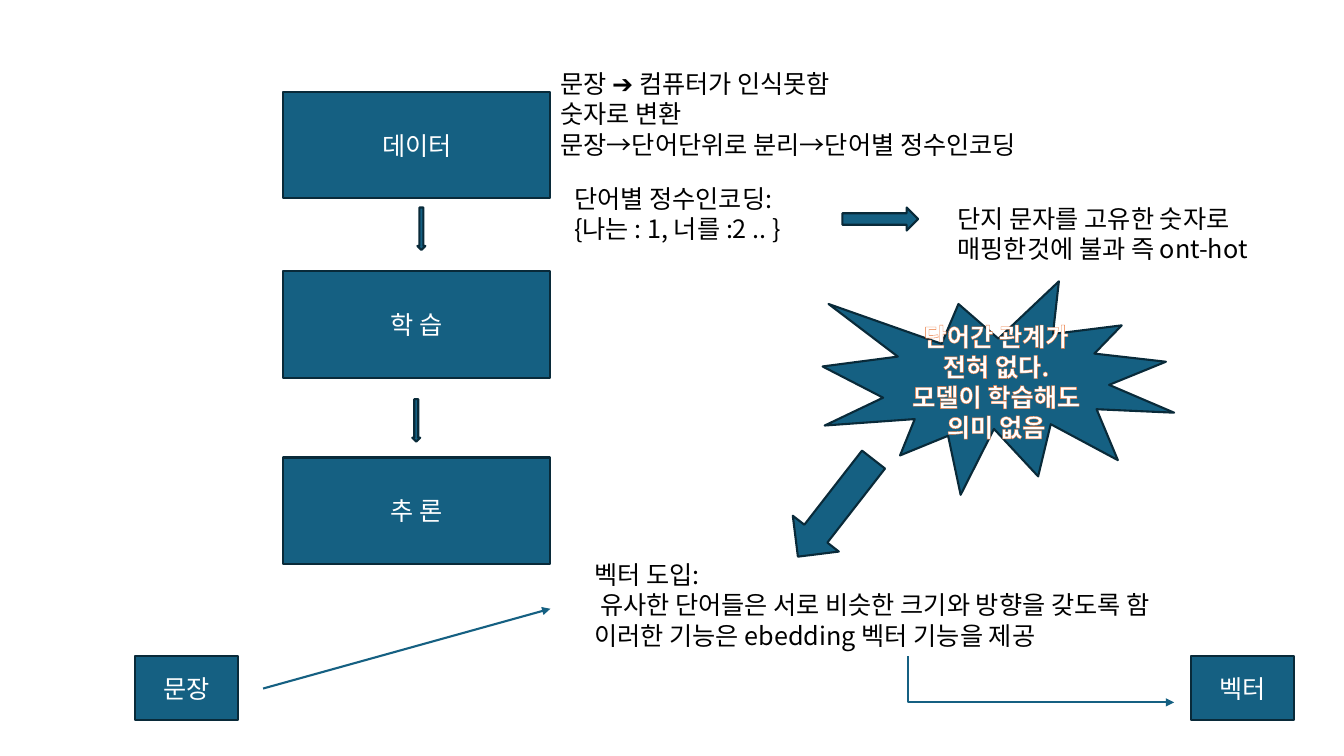
from lxml import etree
from pptx import Presentation
from pptx.dml.color import RGBColor
from pptx.enum import shapes, text
from pptx.oxml import ns
from pptx.util import Cm, Pt

TEAL = RGBColor(0x15, 0x60, 0x82)
NAVY = RGBColor(0x09, 0x2A, 0x39)
WHITE = RGBColor(255, 255, 255)
BLACK = RGBColor(0, 0, 0)
ORANGE = RGBColor(0xE9, 0x71, 0x32)
FONT = "Noto Sans CJK KR"
KIND = shapes.MSO_SHAPE

# Content: all lengths in centimetres
STAGES = [("데이터", 2.31), ("학 습", 6.83), ("추 론", 11.53)]
STAGE_LEFT, STAGE_SIZE = 7.14, (6.73, 2.69)
ENDPOINTS = [("문장", 3.4), ("벡터", 30.02)]
ENDPOINT_TOP, ENDPOINT_SIZE = 16.54, (2.59, 1.6)

# kind, left, top, width, height, rotation
BLOCK_ARROWS = [
    (KIND.DOWN_ARROW, 10.52, 5.23, 0.2, 1.07, 0),
    (KIND.DOWN_ARROW, 10.39, 10.06, 0.2, 1.07, 0),
    (KIND.RIGHT_ARROW, 21.23, 5.23, 1.91, 0.58, 0),
    (KIND.RIGHT_ARROW, 19.51, 12.07, 3.1, 1.47, 127.9),
]
# box, paragraphs
NOTES = [
    ((13.87, 1.6, 15.04, 2.57),
     ["문장 ➔ 컴퓨터가 인식못함", "숫자로 변환", "문장→단어단위로 분리→단어별 정수인코딩"]),
    ((14.22, 4.5, 6.5, 1.8), ["단어별 정수인코딩:", "{나는 : 1, 너를 :2 .. }"]),
    ((23.88, 5.0, 8.66, 1.8), ["단지 문자를 고유한 숫자로 매핑한것에 불과 즉 ont-hot"]),
    ((14.73, 13.97, 16.31, 2.57),
     ["벡터 도입:", " 유사한 단어들은 서로 비슷한 크기와 방향을 갖도록 함\n이러한 기능은 ebedding 벡터 기능을 제공"]),
]
BURST = ("단어간 관계가 전혀 없다. 모델이 학습해도 의미 없음", (20.73, 7.09, 8.86, 5.38))
SENTENCE_LINE = (6.63, 17.35, 13.87, 15.34)
VECTOR_LINE = (22.89, 16.54, 29.59, 17.7)


def write(frame, paragraphs, color, align=None, bold=None):
    frame.word_wrap = True
    for index, line in enumerate(paragraphs):
        paragraph = frame.paragraphs[0] if index == 0 else frame.add_paragraph()
        paragraph.alignment = align
        for part_index, part in enumerate(line.split("\n")):
            if part_index:
                paragraph.add_line_break()
            run = paragraph.add_run()
            run.text = part
            run.font.size, run.font.name, run.font.bold = Pt(18), FONT, bold
            run.font.color.rgb = color
            properties = run.font._element
            etree.SubElement(properties, ns.qn("a:ea"), typeface=FONT)


def add_block(slide, kind, box, label=None, bold=None):
    shape = slide.shapes.add_shape(kind, *map(Cm, box))
    shape.shadow.inherit = False
    shape.fill.solid()
    shape.fill.fore_color.rgb = TEAL
    shape.line.color.rgb = NAVY
    shape.line.width = Pt(1.5)
    if label:
        shape.text_frame.vertical_anchor = text.MSO_ANCHOR.MIDDLE
        write(shape.text_frame, [label], WHITE, text.PP_ALIGN.CENTER, bold)
    return shape


def add_arrow_line(slide, kind, points):
    connector = slide.shapes.add_connector(kind, *map(Cm, points))
    connector.line.color.rgb = TEAL
    connector.line.width = Pt(1.5)
    properties = connector.element.spPr
    line = properties.find(ns.qn("a:ln"))
    etree.SubElement(line, ns.qn("a:tailEnd"), type="triangle")
    etree.SubElement(properties, ns.qn("a:effectLst"))
    return connector


def add_down_right_arrow(slide, points):
    """One-bend connector: the unrotated box is a quarter turn about the same centre."""
    x1, y1, x2, y2 = points
    center_x, center_y = (x1 + x2) / 2, (y1 + y2) / 2
    half_width, half_height = (y2 - y1) / 2, (x2 - x1) / 2
    connector = add_arrow_line(slide, shapes.MSO_CONNECTOR.ELBOW, (
        center_x + half_width, center_y - half_height,
        center_x - half_width, center_y + half_height))
    properties = connector.element.spPr
    properties.find(ns.qn("a:xfrm")).set("rot", str(270 * 60000))
    properties.find(ns.qn("a:prstGeom")).set("prst", "bentConnector2")


def outline_text(shape, color, width):
    for run in shape.text_frame.paragraphs[0].runs:
        line = etree.Element(ns.qn("a:ln"), w=str(Pt(width)))
        fill = etree.SubElement(line, ns.qn("a:solidFill"))
        etree.SubElement(fill, ns.qn("a:srgbClr"), val=str(color))
        run.font._element.insert(0, line)


def main():
    presentation = Presentation()
    presentation.slide_width, presentation.slide_height = Cm(33.87), Cm(19.05)
    slide = presentation.slides.add_slide(presentation.slide_layouts[6])

    # Stages and end boxes
    for label, top in STAGES:
        add_block(slide, KIND.RECTANGLE, (STAGE_LEFT, top, *STAGE_SIZE), label)
    for label, left in ENDPOINTS:
        add_block(slide, KIND.RECTANGLE, (left, ENDPOINT_TOP, *ENDPOINT_SIZE), label)

    # Block arrows
    for kind, *box, rotation in BLOCK_ARROWS:
        add_block(slide, kind, box).rotation = rotation

    # Notes
    for box, paragraphs in NOTES:
        note = slide.shapes.add_textbox(*map(Cm, box))
        write(note.text_frame, paragraphs, BLACK)
        note.text_frame.auto_size = text.MSO_AUTO_SIZE.SHAPE_TO_FIT_TEXT

    # Burst with outlined text
    label, box = BURST
    burst = add_block(slide, KIND.EXPLOSION1, box, label, bold=True)
    outline_text(burst, ORANGE, 0.52)

    # Thin arrows
    add_arrow_line(slide, shapes.MSO_CONNECTOR.STRAIGHT, SENTENCE_LINE)
    add_down_right_arrow(slide, VECTOR_LINE)

    presentation.save("out.pptx")


if __name__ == "__main__":
    main()
